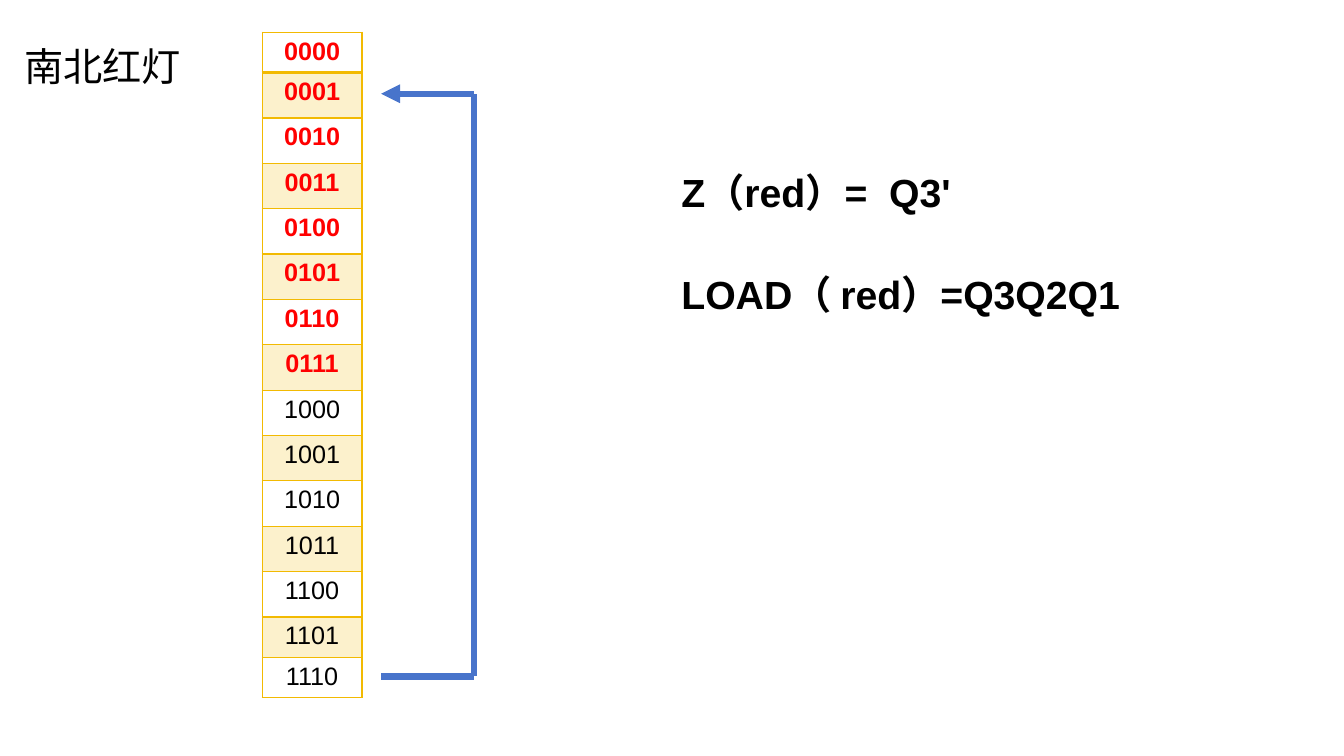
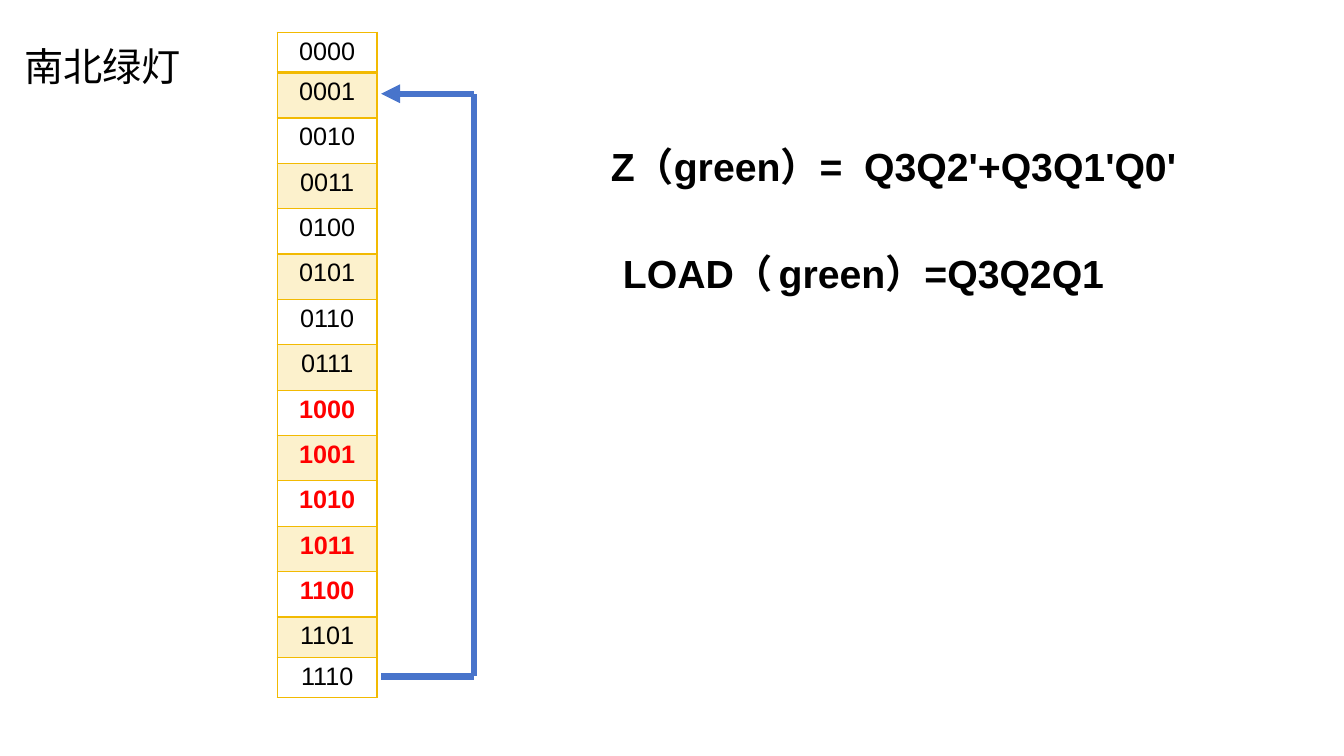
from lxml import etree
from pptx import Presentation
from pptx import util as u
from pptx.dml import color
from pptx.enum import shapes, text
from pptx.oxml import ns

COLORS = {
    "ink": "000000",
    "active": "FF0000",
    "border": "F2BA02",
    "band": "FCF1CC",
    "arrow": "4874CB",
}
FONT = "Arial"
STATES = [format(number, "04b") for number in range(15)]
TALL_ROWS = range(1, 13)
BANDED_ROWS = range(1, 15, 2)
TABLE_TOP, COLUMN_WIDTH = 0.32, 0.99

SLIDES = [
    {
        "title": "南北红灯",
        "table_left": 2.6,
        "active": range(0, 8),
        "formulas": [
            ((6.66, 2.63, 5.01, 0.57), [("LOAD（ red）=Q3Q2Q1", 28)]),
            ((6.66, 1.62, 6.67, 0.57), [("Z（red）=  Q3'", 28)]),
        ],
    },
    {
        "title": "南北绿灯",
        "table_left": 2.75,
        "active": range(8, 13),
        "formulas": [
            ((6.08, 2.42, 5.35, 0.57), [("LOAD（", 28), (" ", 18), ("green）=Q3Q2Q1", 28)]),
            ((5.96, 1.36, 5.86, 0.57), [("Z（green）=  Q3Q2'+Q3Q1'Q0'", 28)]),
        ],
    },
]


def rgb(name):
    return color.RGBColor.from_string(COLORS[name])


def add_span(para, words, size=28, ink="ink", bold=False):
    span = para.add_run()
    span.text = words
    span.font.name = FONT
    span.font.size = u.Pt(size)
    span.font.bold = bold
    span.font.color.rgb = rgb(ink)


def place(shape, box):
    shape.left, shape.top, shape.width, shape.height = map(u.Inches, box)


def format_frame(frame):
    frame.word_wrap = True
    frame.auto_size = text.MSO_AUTO_SIZE.SHAPE_TO_FIT_TEXT
    frame.vertical_anchor = text.MSO_ANCHOR.TOP


def add_title(page, words, box):
    place(page.shapes.title, box)
    frame = page.shapes.title.text_frame
    format_frame(frame)
    para = frame.paragraphs[0]
    para.alignment = text.PP_ALIGN.LEFT
    add_span(para, words)


def add_formula(page, spans, box):
    frame = page.shapes.add_textbox(*map(u.Inches, box)).text_frame
    format_frame(frame)
    for words, size in spans:
        add_span(frame.paragraphs[0], words, size=size, bold=True)


def set_borders(cell, **widths):
    properties = cell._tc.get_or_add_tcPr()
    for side in "LRTB":
        line = etree.SubElement(properties, ns.qn(f"a:ln{side}"), w=str(u.Pt(widths.get(side, 1))))
        fill = etree.SubElement(line, ns.qn("a:solidFill"))
        etree.SubElement(fill, ns.qn("a:srgbClr"), val=COLORS["border"])


def add_state_table(page, left, top, active):
    heights = [0.45 if row in TALL_ROWS else 0.4 for row in range(len(STATES))]
    box = (left, top, COLUMN_WIDTH, sum(heights))
    table = page.shapes.add_table(len(STATES), 1, *map(u.Inches, box)).table
    table.first_row = table.horz_banding = False
    for row, (state, height) in enumerate(zip(STATES, heights)):
        table.rows[row].height = u.Inches(height)
        cell = table.cell(row, 0)
        set_borders(cell, T=2 if row == 1 else 1, B=2 if row == 0 else 1)
        if row in BANDED_ROWS:
            cell.fill.solid()
            cell.fill.fore_color.rgb = rgb("band")
        else:
            cell.fill.background()
        para = cell.text_frame.paragraphs[0]
        para.alignment = text.PP_ALIGN.CENTER
        chosen = row in active
        add_span(para, state, size=18, ink="active" if chosen else "ink", bold=chosen)


def add_return_arrow(page, left, top, width, height):
    right, bottom = left + width, top + height
    corners = [(left, bottom), (right, bottom), (right, top), (left, top)]
    for start, end in zip(corners, corners[1:]):
        line = page.shapes.add_connector(shapes.MSO_CONNECTOR.STRAIGHT, *map(u.Inches, start + end))
        line.line.color.rgb = rgb("arrow")
        line.line.width = u.Pt(4.5)
        etree.SubElement(line._element.spPr, ns.qn("a:effectLst"))
    etree.SubElement(line.line._get_or_add_ln(), ns.qn("a:tailEnd"), type="triangle")


def add_light_page(deck, title, table_left, active, formulas):
    page = deck.slides.add_slide(deck.slide_layouts.get_by_name("Title Only"))
    add_title(page, title, (0.14, 0.37, 2, 0.57))
    add_state_table(page, table_left, TABLE_TOP, active)
    add_return_arrow(page, 3.78, 0.93, 0.92, 5.78)
    for box, spans in formulas:
        add_formula(page, spans, box)


def main():
    deck = Presentation()
    deck.slide_width, deck.slide_height = u.Inches(13.33), u.Inches(7.5)
    for content in SLIDES:
        add_light_page(deck, **content)
    deck.save("out.pptx")


if __name__ == "__main__":
    main()
